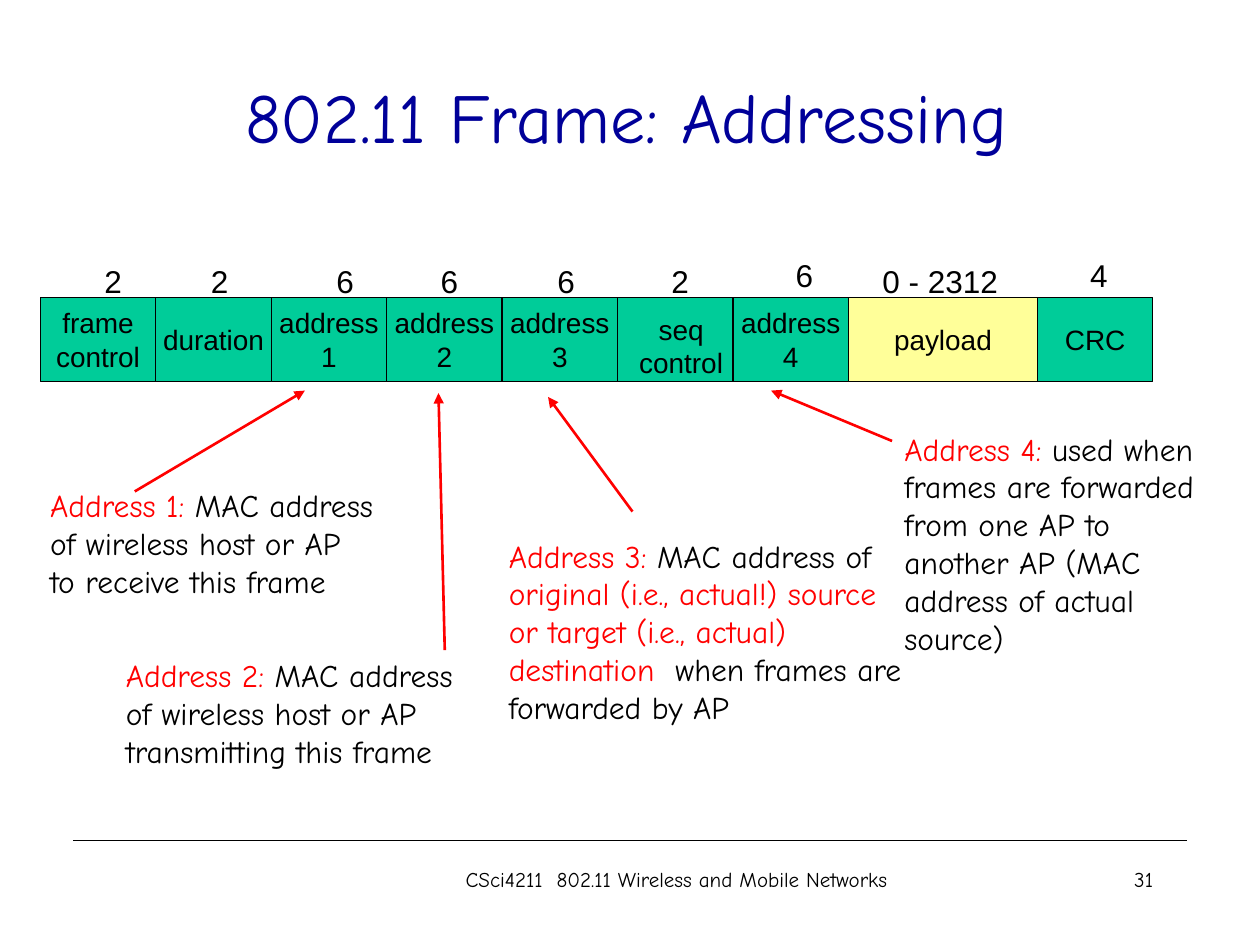
import dataclasses

import pptx
import pptx.dml.color
import pptx.enum.shapes
import pptx.enum.text
import pptx.oxml
import pptx.oxml.ns
import pptx.util

Inches = pptx.util.Inches
Pt = pptx.util.Pt
Align = pptx.enum.text.PP_ALIGN
Anchor = pptx.enum.text.MSO_ANCHOR
Fit = pptx.enum.text.MSO_AUTO_SIZE


@dataclasses.dataclass(frozen=True)
class Theme:
    ink: str = "000000"
    heading: str = "000099"
    accent: str = "FF0000"
    header_fill: str = "00CC99"
    payload_fill: str = "FFFF99"
    hand: str = "Comic Neue"
    plain: str = "Arial"
    title_size: int = 40
    note_size: int = 18
    field_size: int = 16
    footer_size: int = 12
    thin: float = 0.75
    thick: float = 1.5


THEME = Theme()

FIELDS = [
    ("frame\ncontrol", "2", 0.41, 0.05),
    ("duration", "2", 0.34, 0.05),
    ("address\n1", "6", 0.42, 0.05),
    ("address\n2", "6", 0.33, 0.05),
    ("address\n3", "6", 0.34, 0.05),
    ("seq\ncontrol", "2", 0.33, 0.05),
    ("address\n4", "6", 0.4, 0),
    ("payload", "0 - 2312", 0.17, 0.05),
    ("CRC", "4", 0.32, 0),
]

NOTES = [
    ((0.9, 5.16, 3.11, 1), False, [
        [("Address 2:", True), (" MAC address", False)],
        [("of wireless host or AP", False)],
        [("transmitting this frame", False)]]),
    ((0.3, 3.81, 3.07, 1), False, [
        [("Address 1:", True), (" MAC address", False)],
        [("of wireless host or AP", False)],
        [("to receive this frame", False)]]),
    ((3.94, 4.21, 3.34, 1.92), True, [
        [("Address 3: ", True), ("MAC address of ", False),
         ("original (i.e., actual!) source or target (i.e., actual) destination ", True),
         (" when frames are forwarded by AP", False)]]),
    ((7.08, 3.36, 2.58, 1.92), True, [
        [("Address 4:", True),
         (" used when frames are forwarded from one AP to another AP "
          "(MAC address of actual source)", False)]]),
]

ARROWS = [
    (1.07, 3.9, 2.42, 3.1),
    (3.53, 5.16, 3.48, 3.12),
    (5.02, 4.06, 4.35, 3.15),
    (7.08, 3.5, 6.12, 3.1),
]


def rgb(value):
    return pptx.dml.color.RGBColor.from_string(value)


def apply_format(target, values):
    for name, value in values.items():
        setattr(target, name, value)


def write(frame, paragraphs, font, size, align=Align.LEFT, **frame_format):
    apply_format(frame, frame_format)
    for index, spans in enumerate(paragraphs):
        para = frame.add_paragraph() if index else frame.paragraphs[0]
        para.alignment = align
        for text, color in spans:
            span = para.add_run()
            span.text = text
            apply_format(span.font, {"name": font, "size": Pt(size)})
            span.font.color.rgb = rgb(color)


def add_text(page, box, paragraphs, font, size, align=Align.LEFT, **frame_format):
    holder = page.shapes.add_textbox(*map(Inches, box))
    write(holder.text_frame, paragraphs, font, size, align, **frame_format)


def add_line(page, ends, color, width, arrow=False):
    line = page.shapes.add_connector(
        pptx.enum.shapes.MSO_CONNECTOR.STRAIGHT, *map(Inches, ends))
    line.line.color.rgb = rgb(color)
    line.line.width = Pt(width)
    if arrow:
        head = pptx.oxml.parse_xml(
            f'<a:tailEnd {pptx.oxml.ns.nsdecls("a")} type="triangle"/>')
        line.line._get_or_add_ln().append(head)
    line._element.spPr.append(
        pptx.oxml.parse_xml(f'<a:effectLst {pptx.oxml.ns.nsdecls("a")}/>'))


def add_title(page, box):
    title = page.shapes.title
    names = ("left", "top", "width", "height")
    apply_format(title, dict(zip(names, map(Inches, box))))
    write(title.text_frame, [[("802.11 Frame: Addressing", THEME.heading)]],
          THEME.hand, THEME.title_size, Align.CENTER,
          vertical_anchor=Anchor.MIDDLE, word_wrap=True)


def add_frame_fields(page, box):
    left, top, width, height = box
    payload_width = 1.5
    field_width = (width - payload_width) / (len(FIELDS) - 1)
    for label, size, size_shift, size_drop in FIELDS:
        payload = label == "payload"
        cell_width = payload_width if payload else field_width
        cell = page.shapes.add_shape(
            pptx.enum.shapes.MSO_SHAPE.RECTANGLE,
            *map(Inches, (left, top, cell_width, height)))
        cell.shadow.inherit = False
        cell.fill.solid()
        cell.fill.fore_color.rgb = rgb(
            THEME.payload_fill if payload else THEME.header_fill)
        cell.line.color.rgb = rgb(THEME.ink)
        cell.line.width = Pt(THEME.thin)
        lines = [[(line, THEME.ink)] for line in label.split("\n")]
        style = (THEME.plain, THEME.field_size, Align.CENTER)
        if label.startswith("seq"):
            add_text(page, (left + 0.07, top + 0.07, 0.87, 0.64), lines, *style,
                     word_wrap=False, auto_size=Fit.SHAPE_TO_FIT_TEXT)
        else:
            write(cell.text_frame, lines, *style,
                  vertical_anchor=Anchor.MIDDLE, word_wrap=False)
        size_width = 1.12 if payload else 0.34
        add_text(page, (left + size_shift, top - 0.38 + size_drop, size_width, 0.4),
                 [[(size, THEME.ink)]], THEME.plain, THEME.note_size,
                 word_wrap=False, auto_size=Fit.SHAPE_TO_FIT_TEXT)
        left += cell_width


def add_note(page, box, wrap, paragraphs):
    colored = [[(text, THEME.accent if marked else THEME.ink)
                for text, marked in spans] for spans in paragraphs]
    add_text(page, box, colored, THEME.hand, THEME.note_size,
             word_wrap=wrap, auto_size=Fit.SHAPE_TO_FIT_TEXT)


def add_footer(page, box):
    left, top, width, height = box
    add_line(page, (left, top, left + width, top), THEME.ink, THEME.thin)
    text_top = top + 0.16
    text_height = height - 0.16
    for text, start, span_width, align in (
            ("CSci4211  802.11 Wireless and Mobile Networks", 2.75, 4.08, Align.CENTER),
            ("31", 6.59, 2.08, Align.RIGHT)):
        add_text(page, (left + start, text_top, span_width, text_height),
                 [[(text, THEME.ink)]], THEME.hand, THEME.footer_size, align,
                 word_wrap=True)


def main():
    deck = pptx.Presentation()
    apply_format(deck, {"slide_width": Inches(10), "slide_height": Inches(7.5)})
    page = deck.slides.add_slide(deck.slide_layouts[5])
    add_title(page, (0.72, 0.29, 8.5, 1.25))
    add_frame_fields(page, (0.32, 2.36, 8.83, 0.67))
    for box, wrap, paragraphs in NOTES:
        add_note(page, box, wrap, paragraphs)
    for ends in ARROWS:
        add_line(page, ends, THEME.accent, THEME.thick, arrow=True)
    add_footer(page, (0.58, 6.67, 8.84, 0.66))
    deck.save("out.pptx")


if __name__ == "__main__":
    main()
